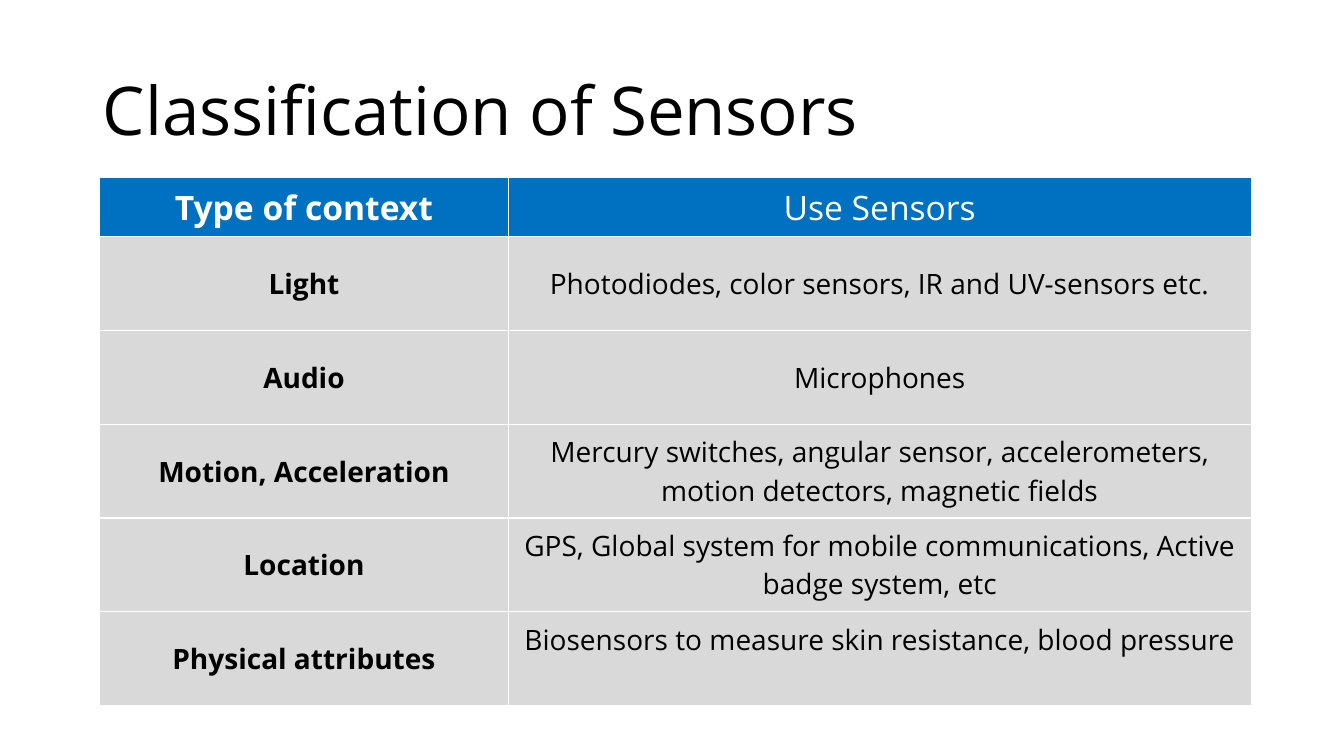
from pptx import Presentation
from pptx.dml.color import RGBColor
from pptx.enum import text
from pptx.util import Inches, Pt

FONT = "Open Sans"
BLACK = RGBColor(0x00, 0x00, 0x00)
WHITE = RGBColor(0xFF, 0xFF, 0xFF)
BLUE = RGBColor(0x00, 0x70, 0xC0)
GRAY = RGBColor(0xD9, 0xD9, 0xD9)

SENSORS = [
    ("Type of context", "Use Sensors"),
    ("Light", "Photodiodes, color sensors, IR and UV-sensors etc."),
    ("Audio", "Microphones"),
    ("Motion, Acceleration",
     "Mercury switches, angular sensor, accelerometers, motion detectors, magnetic fields"),
    ("Location",
     "GPS, Global system for mobile communications, Active badge system, etc"),
    ("Physical attributes", "Biosensors to measure skin resistance, blood pressure"),
]


def write(frame, words, size, color, align, bold=False):
    frame.text = words
    paragraph = frame.paragraphs[0]
    paragraph.alignment = align
    font = paragraph.runs[0].font
    font.name, font.size, font.bold = FONT, Pt(size), bold
    font.color.rgb = color


deck = Presentation()
deck.slide_width, deck.slide_height = Inches(13.33), Inches(7.5)
slide = deck.slides.add_slide(deck.slide_layouts[5])

title = slide.shapes.title
title.left, title.top = Inches(0.92), Inches(0.4)
title.width, title.height = Inches(11.5), Inches(1.45)
write(title.text_frame, "Classification of Sensors", 48, BLACK, text.PP_ALIGN.LEFT)
title.text_frame.vertical_anchor = text.MSO_ANCHOR.MIDDLE
title.text_frame.paragraphs[0].line_spacing = 0.9

sensors = slide.shapes.add_table(
    len(SENSORS), 2, Inches(0.99), Inches(1.76), Inches(11.42), Inches(5.24)).table
sensors.horz_banding = False
sensors.columns[0].width = Inches(4.05)
sensors.columns[1].width = Inches(7.37)

for row, entries in enumerate(SENSORS):
    header = row == 0
    sensors.rows[row].height = Inches(0.59 if header else 0.93)
    for column, words in enumerate(entries):
        cell = sensors.cell(row, column)
        cell.fill.solid()
        cell.fill.fore_color.rgb = BLUE if header else GRAY
        cell.vertical_anchor = text.MSO_ANCHOR.MIDDLE
        write(cell.text_frame, words, 24 if header else 20,
              WHITE if header else BLACK, text.PP_ALIGN.CENTER, column == 0)

biosensors = sensors.cell(len(SENSORS) - 1, 1)
biosensors.margin_bottom = Inches(0.43)

deck.save("out.pptx")
